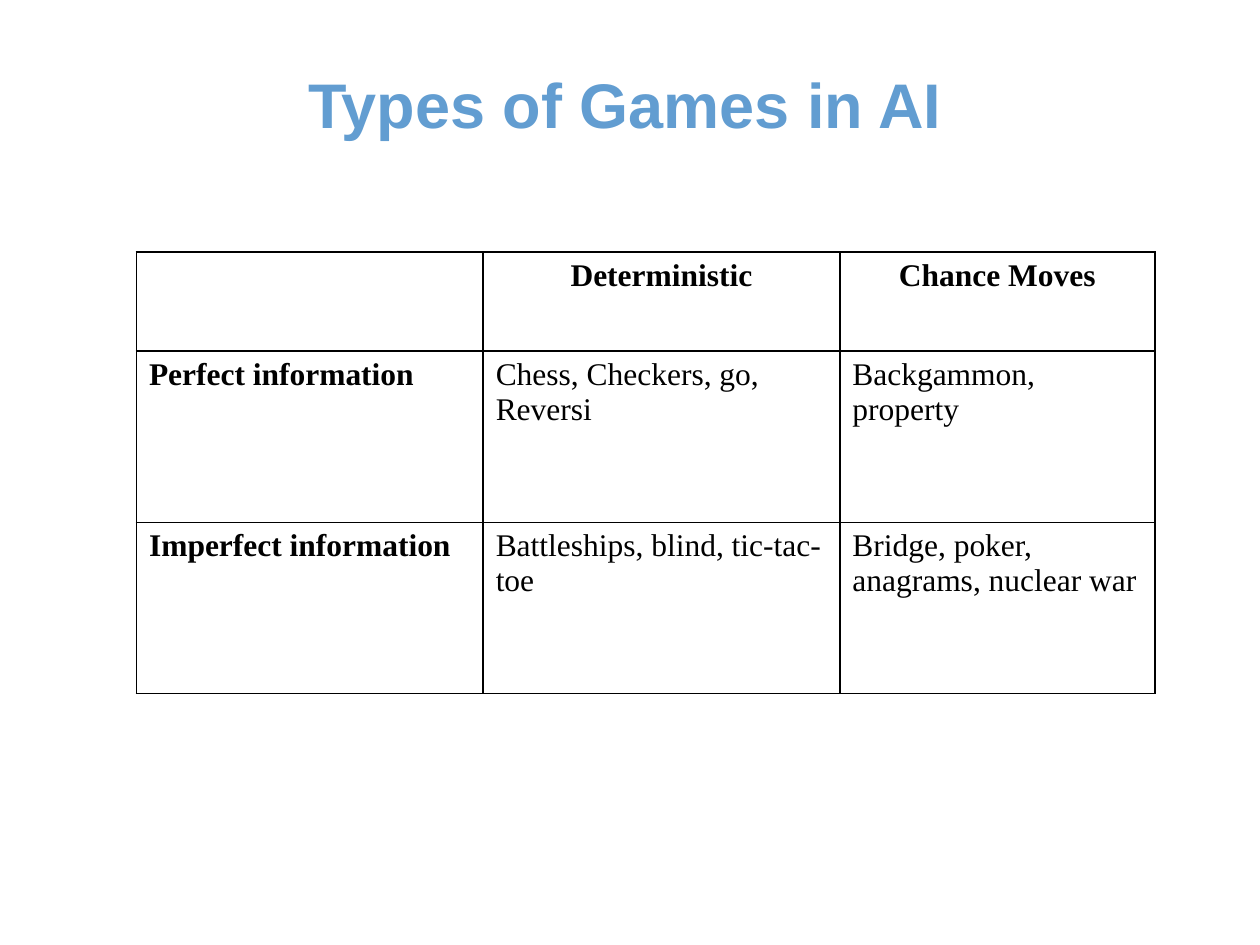
"""Build a slide with a table of game types in AI."""
from lxml.etree import SubElement as Sub
from pptx import Presentation
from pptx.dml.color import RGBColor
from pptx.enum.text import MSO_ANCHOR as Anchor, PP_ALIGN as Align
from pptx.oxml.ns import qn
from pptx.util import Cm, Pt

TITLE = "Types of Games in AI"
ROWS = [
    ("", "Deterministic", "Chance Moves"),
    ("Perfect information", "Chess, Checkers, go, Reversi", "Backgammon, property"),
    ("Imperfect information", "Battleships, blind, tic-tac-toe",
     "Bridge, poker, anagrams, nuclear war"),
]
WIDTHS = (6.99, 7.19, 6.35)
HEIGHTS = (2, 3.45, 3.45)
BLUE = RGBColor(0x62, 0x9D, 0xD1)
BLACK = RGBColor(0, 0, 0)


def write(frame, text, font, size, color, bold, align):
    para = frame.paragraphs[0]
    para.alignment = align
    run = para.add_run()
    run.text = text
    run.font.name = font
    run.font.size = Pt(size)
    run.font.bold = bold
    run.font.color.rgb = color


def border(cell):
    props = cell._tc.get_or_add_tcPr()
    for spot, side in enumerate(("lnL", "lnR", "lnT", "lnB")):
        line = props.makeelement(qn(f"a:{side}"), {"w": str(Pt(1))})
        fill = Sub(line, qn("a:solidFill"))
        Sub(fill, qn("a:srgbClr"), val=str(BLACK))
        props.insert(spot, line)


def add_title(slide):
    box = slide.shapes.add_textbox(Cm(1.07), Cm(0.64), Cm(23.06), Cm(2.34))
    frame = box.text_frame
    frame.word_wrap = True
    frame.vertical_anchor = Anchor.BOTTOM
    write(frame, TITLE, "Arial", 36, BLUE, True, Align.CENTER)


def add_games(slide):
    table = slide.shapes.add_table(
        len(ROWS), len(WIDTHS), Cm(2.75), Cm(5.08),
        Cm(sum(WIDTHS)), Cm(sum(HEIGHTS))).table
    table.first_row = table.horz_banding = False
    for col, width in zip(table.columns, WIDTHS):
        col.width = Cm(width)
    for row, height in zip(table.rows, HEIGHTS):
        row.height = Cm(height)
    for r, texts in enumerate(ROWS):
        for c, text in enumerate(texts):
            cell = table.cell(r, c)
            cell.fill.background()
            border(cell)
            if text:
                write(cell.text_frame, text, "Times New Roman", 18, BLACK,
                      r == 0 or c == 0, Align.LEFT if r else Align.CENTER)


def main():
    deck = Presentation()
    deck.slide_width, deck.slide_height = Cm(25.4), Cm(19.05)
    slide = deck.slides.add_slide(deck.slide_layouts[6])
    add_title(slide)
    add_games(slide)
    deck.save("out.pptx")


if __name__ == "__main__":
    main()
